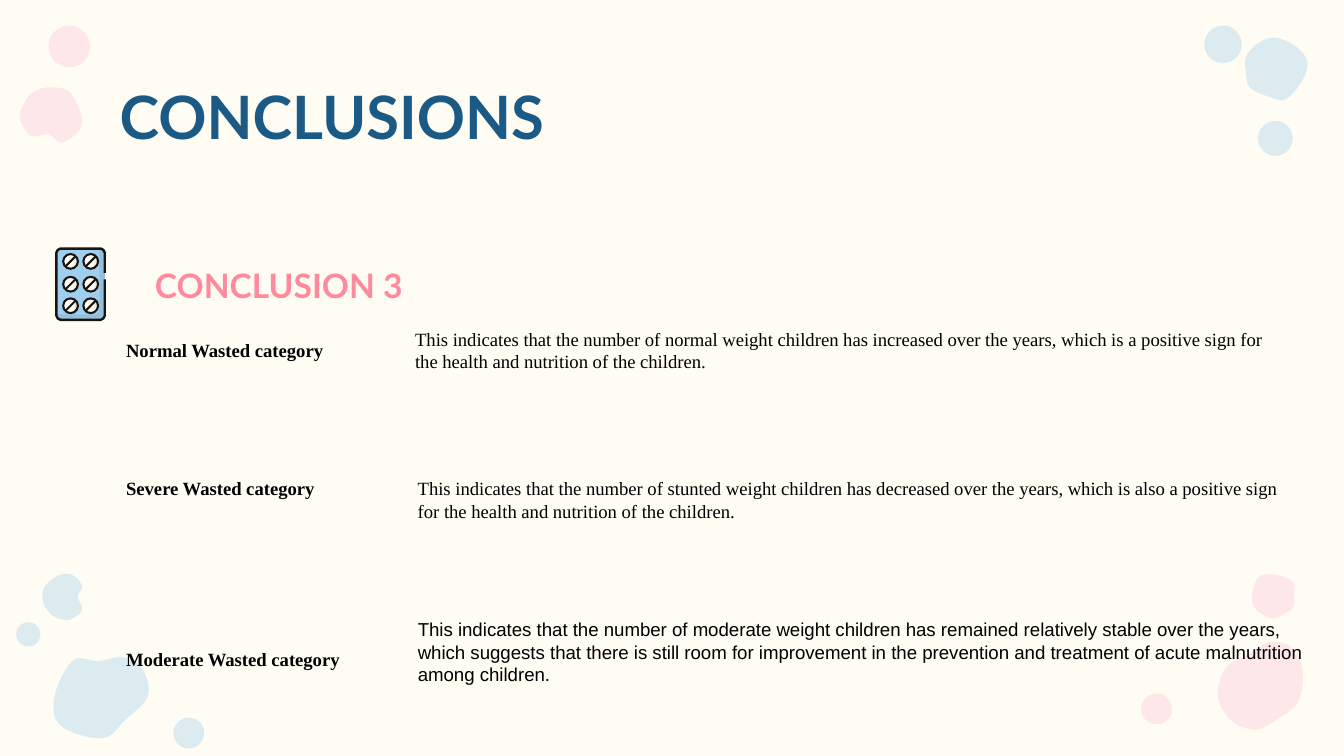
from dataclasses import dataclass

from lxml import etree
from pptx import Presentation
from pptx.dml.color import RGBColor
from pptx.enum.shapes import MSO_CONNECTOR, MSO_SHAPE
from pptx.enum.text import MSO_ANCHOR, MSO_AUTO_SIZE, PP_ALIGN
from pptx.oxml.ns import qn
from pptx.util import Emu, Pt

PX = 9144  # 100 px to the inch
CURVE_STEPS = 8

CREAM = RGBColor(0xFF, 0xFC, 0xF3)
BLUSH = RGBColor(0xFD, 0xE7, 0xE9)
SKY = RGBColor(0xA0, 0xCF, 0xED)
NAVY = RGBColor(0x1B, 0x5A, 0x85)
PINK = RGBColor(0xFF, 0x8A, 0x9D)
INK = RGBColor(0x19, 0x14, 0x12)
BLACK = RGBColor(0, 0, 0)

OVAL, MOON = MSO_SHAPE.OVAL, MSO_SHAPE.MOON
STRAIGHT = MSO_CONNECTOR.STRAIGHT
TOP, BOTTOM = MSO_ANCHOR.TOP, MSO_ANCHOR.BOTTOM
LEFT, CENTER = PP_ALIGN.LEFT, PP_ALIGN.CENTER
NO_FIT, GROW = MSO_AUTO_SIZE.NONE, MSO_AUTO_SIZE.SHAPE_TO_FIT_TEXT

Points = list[tuple[float, float]]


@dataclass
class Cluster:
    """Soft blobs and dots of one colour in a corner."""
    color: RGBColor
    opacity: int
    blobs: list[Points]
    dots: list[tuple[int, int, int]]  # left, top, diameter


@dataclass
class Label:
    text: str
    left: int
    top: int
    width: int
    height: int
    font: str = "Times New Roman"
    size: int = 10
    bold: bool = False
    color: RGBColor = BLACK
    align: PP_ALIGN = LEFT
    anchor: MSO_ANCHOR = TOP
    inset: int = 5  # above and below the text
    fit: MSO_AUTO_SIZE = GROW


CLUSTERS = [
    Cluster(BLUSH, 100,
            [[(949, 536), (933, 543), (915, 535), (906, 517), (913, 496),
              (931, 486), (944, 478), (960, 481), (969, 498), (966, 522)],
             [(932, 449), (933, 436), (939, 428), (951, 428), (962, 433),
              (963, 441), (962, 452), (955, 457), (948, 460), (939, 457)]],
            [(849, 516, 23)]),
    Cluster(SKY, 36,
            [[(78, 549), (54, 545), (41, 534), (42, 513), (55, 491),
              (73, 492), (92, 489), (106, 498), (110, 518), (93, 536)],
             [(33, 437), (44, 428), (54, 428), (61, 436), (58, 444),
              (61, 454), (52, 461), (43, 460), (37, 456), (32, 448)]],
            [(129, 534, 23), (12, 463, 18)]),
    Cluster(SKY, 36,
            [[(949, 28), (966, 36), (973, 48), (967, 63), (956, 74),
              (944, 72), (930, 65), (927, 54), (927, 43), (935, 33)]],
            [(896, 19, 28), (936, 90, 26)]),
    Cluster(BLUSH, 100,
            [[(51, 68), (60, 84), (59, 97), (46, 106), (36, 100),
              (23, 101), (15, 88), (18, 77), (24, 69), (36, 65)]],
            [(36, 19, 31)]),
]

PACK_OUTLINE = [(78, 208), (78, 235), (77, 237), (75, 238), (45, 238),
                (43, 237), (42, 235), (42, 188), (43, 186), (45, 185),
                (75, 185), (77, 186), (78, 188), (78, 203)]
PACK_SHADE = [(74, 185), (75, 185), (77, 186), (78, 188), (78, 235),
              (77, 237), (75, 238), (45, 238), (43, 237), (42, 234),
              (71, 234), (73, 233), (74, 231)]
PILL_COLUMNS, PILL_ROWS, PILL_SIZE = (47, 62), (189, 206, 222), 11

TITLE = Label("CONCLUSIONS", 79, 49, 843, 63, "Lato", 32, True, NAVY,
              inset=10, fit=NO_FIT)
LABELS = [
    Label("CONCLUSION 3", 84, 187, 247, 50, "Lato", 18, True, PINK,
          CENTER, BOTTOM, 10, NO_FIT),
    Label("This indicates that the number of normal weight children has "
          "increased over the years, which is a positive sign for the health "
          "and nutrition of the children.", 299, 239, 655, 44),
    Label("Normal Wasted category", 84, 247, 237, 27, bold=True),
    Label("Severe Wasted category", 84, 350, 237, 27, bold=True),
    Label("This indicates that the number of stunted weight children has "
          "decreased over the years, which is also a positive sign for the "
          "health and nutrition of the children.", 301, 350, 663, 44),
    Label("Moderate Wasted category", 84, 477, 237, 27, bold=True),
    Label("This indicates that the number of moderate weight children has "
          "remained relatively stable over the years, which suggests that "
          "there is still room for improvement in the prevention and "
          "treatment of acute malnutrition among children.",
          301, 455, 681, 61, "Arial"),
]


def px(*lengths: float) -> list[Emu]:
    return [Emu(round(length * PX)) for length in lengths]


def paint(shape, color: RGBColor, opacity: int = 100, line_width: float = 0) -> None:
    """Fill a shape, with an ink outline when a line width is given."""
    shape.shadow.inherit = False
    shape.fill.solid()
    shape.fill.fore_color.rgb = color
    if opacity < 100:
        fill = shape.element.spPr.find(qn("a:solidFill"))
        etree.SubElement(fill[0], qn("a:alpha"), val=str(opacity * 1000))
    if line_width:
        shape.line.color.rgb = INK
        shape.line.width = Pt(line_width)
    else:
        shape.line.fill.background()


def smooth_loop(anchors: Points) -> Points:
    """Points of a closed Catmull-Rom curve through the anchors."""
    count, curve = len(anchors), []
    for index in range(count):
        a, b, c, d = (anchors[(index + shift) % count] for shift in (-1, 0, 1, 2))
        for step in range(CURVE_STEPS):
            t = step / CURVE_STEPS
            curve.append(tuple(
                q + t / 2 * (r - p + t * (2 * p - 5 * q + 4 * r - s
                                          + t * (3 * (q - r) + s - p)))
                for p, q, r, s in zip(a, b, c, d)))
    return curve


def add_outline(shapes, points: Points, close: bool = True):
    start, *rest = [tuple(px(*point)) for point in points]
    builder = shapes.build_freeform(*start, scale=1.0)
    builder.add_line_segments(rest, close=close)
    return builder.convert_to_shape()


def draw_cluster(shapes, cluster: Cluster) -> None:
    for blob in cluster.blobs:
        paint(add_outline(shapes, smooth_loop(blob)), cluster.color, cluster.opacity)
    for left, top, size in cluster.dots:
        dot = shapes.add_shape(OVAL, *px(left, top, size, size))
        paint(dot, cluster.color, cluster.opacity)


def draw_pill(shapes, left: int, top: int) -> None:
    pill = shapes.add_shape(OVAL, *px(left, top, PILL_SIZE, PILL_SIZE))
    paint(pill, CREAM, line_width=1.1)
    shade = shapes.add_shape(MOON, *px(left + 6, top, 5, PILL_SIZE))
    shade.rotation = 180
    paint(shade, BLACK, 7)
    score = shapes.add_connector(
        STRAIGHT, *px(left + 2, top + 9, left + 9, top + 2))
    score.line.color.rgb = INK
    score.line.width = Pt(1.1)
    etree.SubElement(score.element.spPr, qn("a:effectLst"))


def write_label(box, label: Label) -> None:
    box.left, box.top, box.width, box.height = px(
        label.left, label.top, label.width, label.height)
    frame = box.text_frame
    inset, side = px(label.inset, 10)
    frame_format = {"word_wrap": True, "auto_size": label.fit,
                    "vertical_anchor": label.anchor,
                    "margin_top": inset, "margin_bottom": inset,
                    "margin_left": side, "margin_right": side}
    for name, value in frame_format.items():
        setattr(frame, name, value)
    para = frame.paragraphs[0]
    para.alignment = label.align
    span = para.add_run()
    span.text = label.text
    font_format = {"name": label.font, "size": Pt(label.size), "bold": label.bold}
    for name, value in font_format.items():
        setattr(span.font, name, value)
    span.font.color.rgb = label.color


def main() -> None:
    deck = Presentation()
    deck.slide_width, deck.slide_height = px(1000, 562.5)
    page = deck.slides.add_slide(deck.slide_layouts[5])
    page.background.fill.solid()
    page.background.fill.fore_color.rgb = CREAM

    # Corner decoration
    for cluster in CLUSTERS:
        draw_cluster(page.shapes.add_group_shape().shapes, cluster)

    # Blister pack icon
    pack = page.shapes.add_group_shape().shapes
    paint(add_outline(pack, PACK_OUTLINE, close=False), SKY, line_width=1.3)
    paint(add_outline(pack, PACK_SHADE), BLACK, 7)
    for top in PILL_ROWS:
        for left in PILL_COLUMNS:
            draw_pill(pack, left, top)

    # Title, heading and findings
    write_label(page.shapes.title, TITLE)
    for label in LABELS:
        box = page.shapes.add_textbox(
            *px(label.left, label.top, label.width, label.height))
        write_label(box, label)

    deck.save("out.pptx")


if __name__ == "__main__":
    main()
